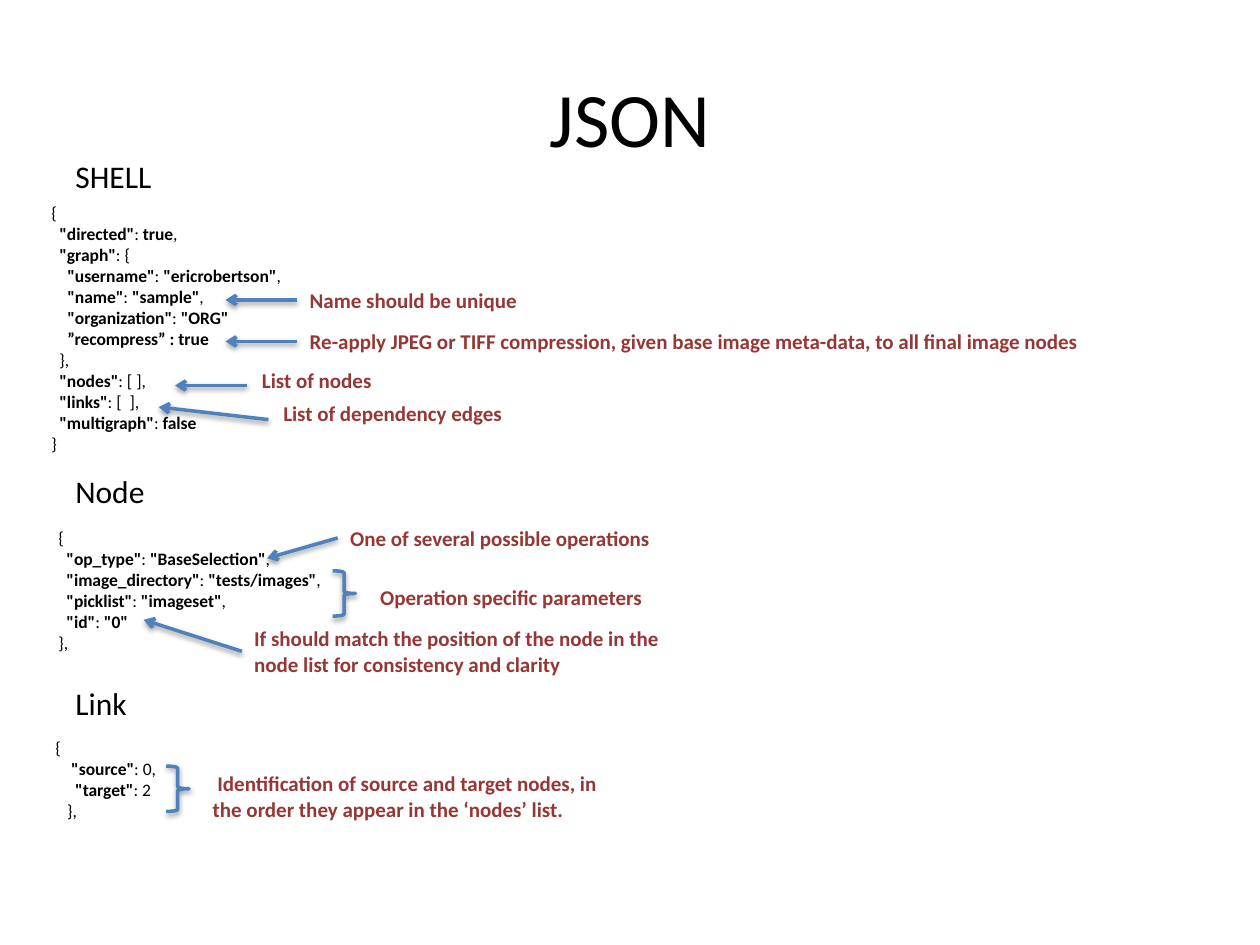
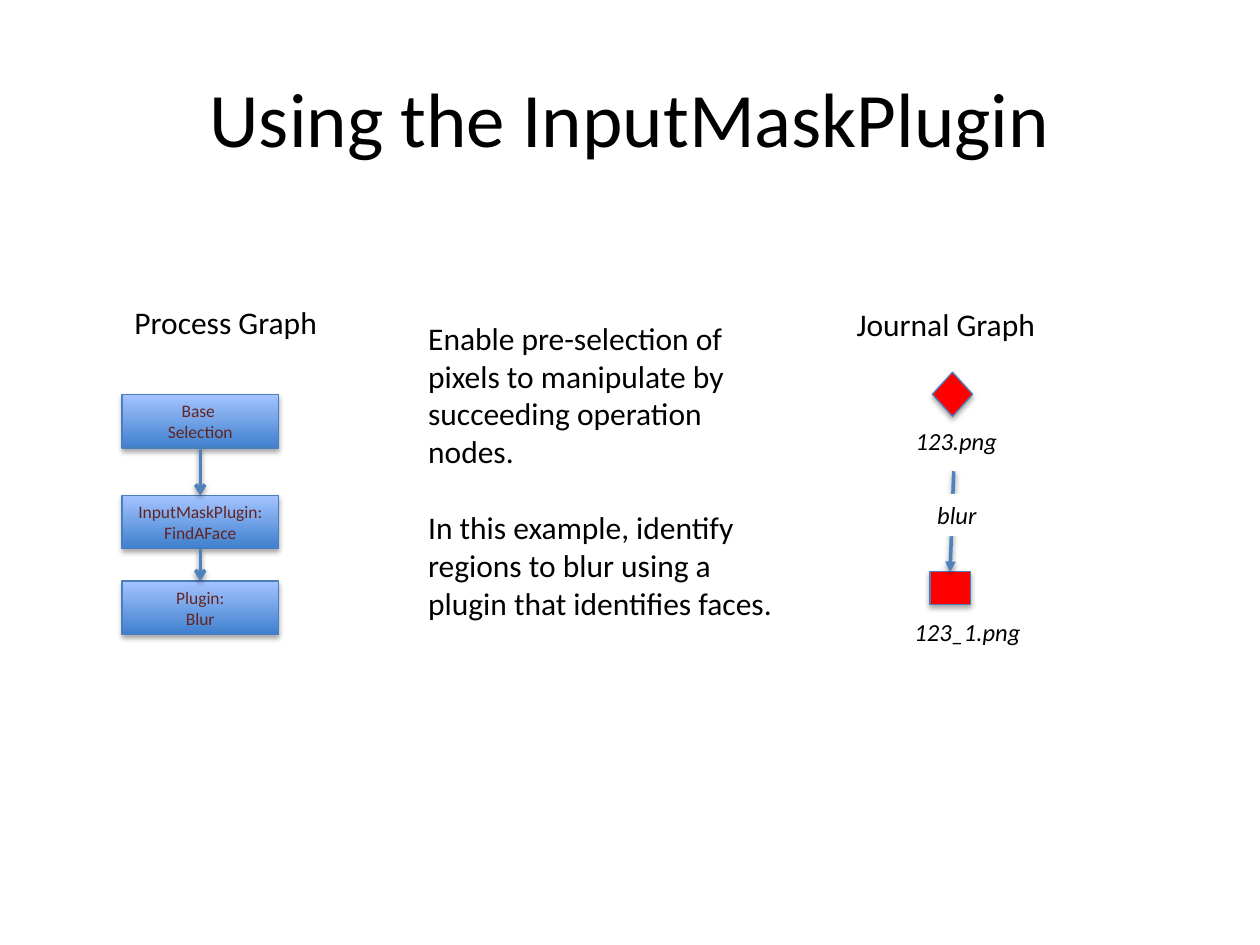
"""Build two slides: the JSON layout of a process graph and the use of InputMaskPlugin."""
import itertools

import lxml.etree
import pptx
import pptx.dml.color
import pptx.enum.shapes
import pptx.enum.text
import pptx.oxml.ns
import pptx.util

Pt = pptx.util.Pt
SHAPE = pptx.enum.shapes.MSO_SHAPE
ALIGN = pptx.enum.text.PP_ALIGN
MIDDLE = pptx.enum.text.MSO_ANCHOR.MIDDLE
FIT = pptx.enum.text.MSO_AUTO_SIZE.SHAPE_TO_FIT_TEXT

COLOURS = {
    "text": "000000", "paper": "FFFFFF", "remark": "953735", "step": "632523",
    "arrow": "4F81BD", "outline": "4B7EBC", "deep": "3F80CE", "pale": "A4C4FF",
    "image": "FF0000",
}
FONT = "Calibri"
SPACE = 2.26
LINE_HEIGHT, HEADING_HEIGHT = 21.6, 28.8

# Each code line is (indent in spaces, text); asterisks enclose bold parts.
SECTIONS = [
    ("SHELL", (36, 86.4, 59), (22.3, 111.6, 147.6, 152.6), [
        (0, "{"),
        (2, '*"directed"*: *true*,'),
        (2, '*"graph"*: {'),
        (4, '*"username"*: *"ericrobertson"*,'),
        (4, '*"name"*: *"sample"*,'),
        (4, '*"organization"*: *"ORG"*'),
        (4, "*”recompress” : true*"),
        (2, "},"),
        (2, '*"nodes"*: [ ],'),
        (2, '*"links"*: [  ],'),
        (2, '*"multigraph"*: *false*'),
        (0, "}"),
    ]),
    ("Node", (36, 266.4, 54.7), (17.3, 297.4, 176.4, 104.4), [
        (4, "{"),
        (6, '*"op_type"*: *"BaseSelection"*,'),
        (6, '*"image_directory"*: *"tests/images"*,'),
        (6, '*"picklist"*: *"imageset"*,'),
        (6, '*"id"*: *"0"*'),
        (4, "},"),
    ]),
    ("Link", (36, 387.4, 43.9), (22.3, 417.6, 74.9, 67.7), [
        (1, "{"),
        (5, '*"source"*: 0,'),
        (6, '*"target"*: 2'),
        (4, "},"),
    ]),
]
REMARKS = [
    ("Name should be unique", 169.9, 160.6, 133.9, 1),
    ("Re-apply JPEG or TIFF compression, given base image meta-data, to all final image nodes",
     169.9, 184.3, 459.4, 1),
    ("List of nodes", 142.6, 206.6, 77.8, 1),
    ("List of dependency edges", 154.8, 225.4, 141.1, 1),
    ("One of several possible operations", 193, 296.6, 187.9, 1),
    ("Operation specific parameters", 210.2, 330.5, 166.3, 1),
    ("If should match the position of the node in the node list for consistency and clarity",
     138.2, 354.2, 257, 2),
    (" Identification of source and target nodes, in the order they appear in the ‘nodes’ list.",
     114.5, 437, 242.6, 2),
]
REMARK_ARROWS = [
    (169.9, 171.4, 128.9, 171.4),
    (169.9, 195.1, 128.9, 195.1),
    (141.1, 220.3, 100.1, 220.3),
    (153.4, 239.8, 90.7, 232.6),
    (193, 307.4, 152.6, 319),
    (138.2, 372.2, 82.1, 354.2),
]
BRACES = [(190.1, 326.2), (95, 437.8)]
BRACE_SIZE = (13, 25.9)

STEPS = [
    (225.5, ["Base ", "Selection"]),
    (283.1, ["InputMaskPlugin:", "FindAFace"]),
    (332, ["Plugin:", "Blur"]),
]
STEP_LEFT, STEP_WIDTH, STEP_HEIGHT = 69.8, 89.3, 30.5
GRAPH_HEADINGS = [("Process Graph", 69.8, 169.9), ("Journal Graph", 482.4, 171)]
IMAGES = [
    (SHAPE.DIAMOND, (532.8, 212.7, 23, 25.2)),
    (SHAPE.RECTANGLE, (531.4, 326.6, 23, 18.7)),
]
FILE_NAMES = [("123.png", (516.2, 239.8, 64.8, 24.2)), ("123_1.png", (515.5, 349.2, 79.2, 24.2))]
BLUR_ARROW = (545, 269.3, 542.9, 326.9)
BLUR = ("blur", (528.5, 282.2, 40.3, 24.2))
EXPLANATION = [
    "Enable pre-selection of pixels to manipulate by succeeding operation nodes.",
    "In this example, identify regions to blur using a plugin that identifies faces.",
]


def colour(name):
    return pptx.dml.color.RGBColor.from_string(COLOURS[name])


def set_outline(item, name, width):
    item.line.color.rgb = colour(name)
    item.line.width = Pt(width)


def add_shadow(item, distance, opacity):
    effects = lxml.etree.SubElement(item.element.spPr, pptx.oxml.ns.qn("a:effectLst"))
    shadow = lxml.etree.SubElement(
        effects, pptx.oxml.ns.qn("a:outerShdw"), blurRad=str(Pt(3.1)),
        dist=str(Pt(distance)), dir="5400000", rotWithShape="0")
    black = lxml.etree.SubElement(shadow, pptx.oxml.ns.qn("a:srgbClr"), val=COLOURS["text"])
    lxml.etree.SubElement(black, pptx.oxml.ns.qn("a:alpha"), val=str(opacity * 1000))


def write(frame, lines, size, name="text", align=ALIGN.LEFT, gap=0, **style):
    for number, line in enumerate(lines):
        indent, text = line if isinstance(line, tuple) else (0, line)
        paragraph = frame.add_paragraph() if number else frame.paragraphs[0]
        paragraph.alignment = align
        paragraph.space_before = Pt(gap if number else 0)
        if indent:
            paragraph._p.get_or_add_pPr().set("marL", str(Pt(indent * SPACE)))
        font = paragraph.font
        font.name, font.size, font.color.rgb = FONT, Pt(size), colour(name)
        for key, value in style.items():
            setattr(font, key, value)
        for part, words in enumerate(text.split("*")):
            if words:
                run = paragraph.add_run()
                run.text = words
                if part % 2:
                    run.font.bold = True


def add_text(slide, box, lines, size, name="text", wrap=True, fill=None, **style):
    text_box = slide.shapes.add_textbox(*map(Pt, box))
    frame = text_box.text_frame
    frame.word_wrap = wrap
    if not wrap:
        frame.auto_size = FIT
    if fill:
        text_box.fill.solid()
        text_box.fill.fore_color.rgb = colour(fill)
    write(frame, lines, size, name, **style)
    return frame


def add_arrow(slide, ends, head="arrow"):
    arrow = slide.shapes.add_connector(
        pptx.enum.shapes.MSO_CONNECTOR.STRAIGHT, *map(Pt, ends))
    set_outline(arrow, "arrow", 2)
    line = arrow.element.spPr.find(pptx.oxml.ns.qn("a:ln"))
    lxml.etree.SubElement(line, pptx.oxml.ns.qn("a:tailEnd"), type=head)
    add_shadow(arrow, 1.6, 38)


def add_titled_slide(deck, title):
    slide = deck.slides.add_slide(deck.slide_layouts[6])
    frame = add_text(slide, (36, 21.6, 648, 90), [title], 44, align=ALIGN.CENTER)
    frame.vertical_anchor = MIDDLE
    return slide


def build_json_slide(deck):
    slide = add_titled_slide(deck, "JSON")
    for heading, place, code_box, code in SECTIONS:
        add_text(slide, code_box, code, 10)
        add_text(slide, (*place, HEADING_HEIGHT), [heading], 18, wrap=False)
    for remark, left, top, width, rows in REMARKS:
        height = LINE_HEIGHT + (rows - 1) * 14.4
        add_text(slide, (left, top, width, height), [remark], 12, "remark",
                 wrap=rows > 1, fill="paper", bold=True)
    for ends in REMARK_ARROWS:
        add_arrow(slide, ends)
    for place in BRACES:
        brace = slide.shapes.add_shape(SHAPE.RIGHT_BRACE, *map(Pt, place + BRACE_SIZE))
        brace.fill.background()
        set_outline(brace, "arrow", 2)
        add_shadow(brace, 1.6, 38)


def build_plugin_slide(deck):
    slide = add_titled_slide(deck, "Using the InputMaskPlugin")
    for top, lines in STEPS:
        step = slide.shapes.add_shape(
            SHAPE.RECTANGLE, *map(Pt, (STEP_LEFT, top, STEP_WIDTH, STEP_HEIGHT)))
        step.fill.gradient()
        step.fill.gradient_angle = 90
        for stop, name in zip(step.fill.gradient_stops, ("deep", "pale")):
            stop.color.rgb = colour(name)
        set_outline(step, "outline", 0.75)
        add_shadow(step, 1.8, 35)
        step.text_frame.vertical_anchor = MIDDLE
        write(step.text_frame, lines, 10, "step", ALIGN.CENTER)
    centre = STEP_LEFT + STEP_WIDTH / 2
    for (top, _), (next_top, _) in itertools.pairwise(STEPS):
        add_arrow(slide, (centre, top + STEP_HEIGHT, centre, next_top))
    for heading, left, top in GRAPH_HEADINGS:
        add_text(slide, (left, top, 120.2, HEADING_HEIGHT), [heading], 18)
    for outline, box in IMAGES:
        image = slide.shapes.add_shape(outline, *map(Pt, box))
        image.fill.solid()
        image.fill.fore_color.rgb = colour("image")
        set_outline(image, "outline", 0.75)
        add_shadow(image, 1.8, 35)
    add_arrow(slide, BLUR_ARROW, "triangle")
    for name, box in FILE_NAMES:
        add_text(slide, box, [name], 14, wrap=False, italic=True)
    add_text(slide, BLUR[1], [BLUR[0]], 14, wrap=False, fill="paper", italic=True)
    add_text(slide, (237.6, 178.6, 216, 181.4), EXPLANATION, 18, gap=22)


def main():
    deck = pptx.Presentation()
    deck.slide_width, deck.slide_height = Pt(720), Pt(540)
    build_json_slide(deck)
    build_plugin_slide(deck)
    deck.save("out.pptx")


if __name__ == "__main__":
    main()
